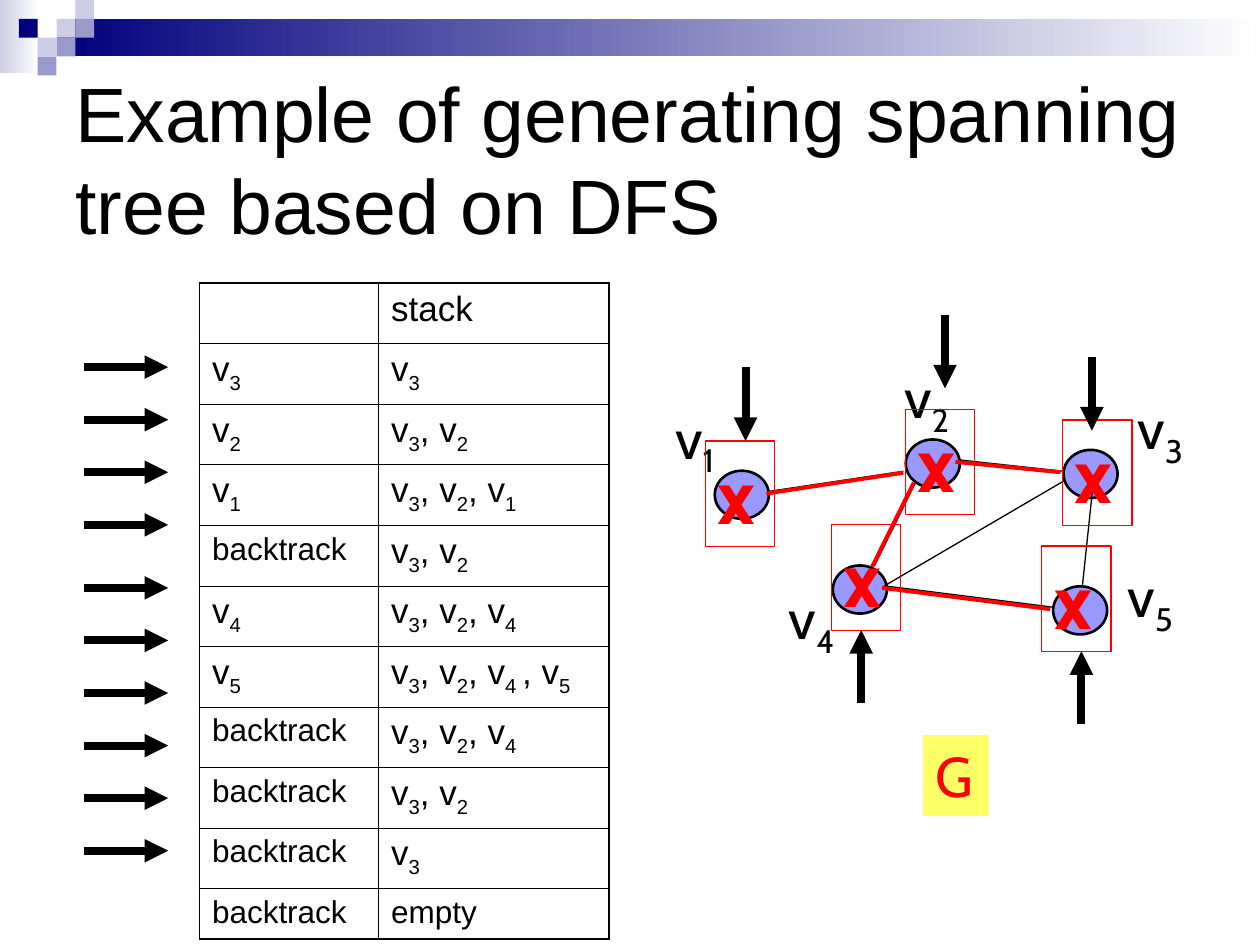
"""Build a slide that traces a depth-first search and the spanning tree it generates."""
from dataclasses import dataclass
from typing import Optional

from lxml.etree import SubElement
from pptx import Presentation
from pptx.dml.color import RGBColor
from pptx.enum.shapes import MSO_CONNECTOR, MSO_SHAPE
from pptx.enum.text import MSO_ANCHOR, MSO_AUTO_SIZE
from pptx.oxml import parse_xml
from pptx.oxml.ns import nsdecls, qn
from pptx.util import Cm, Pt


@dataclass(frozen=True)
class Theme:
    black: str = "000000"
    white: str = "FFFFFF"
    red: str = "FF0000"
    navy: str = "00007D"
    mid: str = "9999CC"
    light: str = "CCCCE6"
    node: str = "9999FF"
    highlight: str = "FFFF66"
    body_font: str = "Arial"
    graph_font: str = "Cabin"
    title_size: float = 44
    graph_size: float = 32
    state_size: float = 20
    action_size: float = 18
    outer_border: float = 1.08
    inner_border: float = 0.45


@dataclass(frozen=True)
class Box:
    left: float
    top: float
    width: float
    height: float

    def lengths(self) -> tuple:
        return Cm(self.left), Cm(self.top), Cm(self.width), Cm(self.height)


@dataclass(frozen=True)
class Line:
    start: tuple
    end: tuple


@dataclass(frozen=True)
class Node:
    name: str
    circle: tuple
    label: tuple
    mark: tuple
    arrow: Line


THEME = Theme()
SQUARE = 0.38
SQUARES = [(2, 1, THEME.light), (3, 0, THEME.light), (3, 1, THEME.mid), (1, 2, THEME.light),
           (0, 1, THEME.navy), (2, 2, THEME.mid), (1, 3, THEME.mid)]
NODES = [
    Node("v_1", (14.41, 9.49), (13.36, 8), (14.22, 8.89), Line((15.03, 7.4), (15.03, 8.89))),
    Node("v_2", (18.26, 8.86), (17.98, 7.19), (18.25, 8.25), Line((19.05, 6.35), (19.05, 7.83))),
    Node("v_3", (21.44, 9.07), (22.68, 7.8), (21.42, 8.47), Line((22.01, 7.2), (22.01, 8.68))),
    Node("v_4", (16.79, 11.4), (15.65, 11.63), (16.76, 10.58), Line((17.36, 14.18), (17.36, 12.7))),
    Node("v_5", (21.23, 11.82), (22.48, 11.19), (21, 11.01), Line((21.8, 14.6), (21.8, 13.13))),
]
GRAPH_EDGES = [
    Line((21.44, 9.5), (19.33, 9.27)), Line((21.23, 12.24), (17.83, 11.81)),
    Line((21.44, 9.7), (17.83, 11.81)), Line((18.47, 9.7), (17.63, 11.4)),
    Line((15.47, 9.91), (18.21, 9.5)), Line((21.82, 11.81), (22.02, 9.91)),
]
TREE_EDGES = [
    Line((21.38, 9.52), (19.26, 9.31)), Line((15.45, 9.95), (18.21, 9.53)),
    Line((18.42, 9.73), (17.58, 11.43)), Line((21.17, 12.28), (17.78, 11.85)),
]
STEP_PITCH = 1.06
STEP_TOPS = [first + STEP_PITCH * index for first, count in ((7.4, 4), (11.85, 6))
             for index in range(count)]
TRACE = [
    ("", "stack"), ("v_3", "v_3"), ("v_2", "v_3_, v_2"), ("v_1", "v_3_, v_2_, v_1"),
    ("backtrack", "v_3_, v_2"), ("v_4", "v_3_, v_2_, v_4"), ("v_5", "v_3_, v_2_, v_4 _, v_5"),
    ("backtrack", "v_3_, v_2_, v_4"), ("backtrack", "v_3_, v_2"), ("backtrack", "v_3"),
    ("backtrack", "empty"),
]


def color(value: str) -> RGBColor:
    return RGBColor.from_string(value)


def write_subscripted(paragraph, text: str, font: str, size: float, ink: str, bold=False) -> None:
    for index, piece in enumerate(text.split("_")):
        run = paragraph.add_run()
        run.text = piece
        run.font.name, run.font.size, run.font.bold = font, Pt(size), bold
        run.font.color.rgb = color(ink)
        if index % 2:
            run._r.get_or_add_rPr().set("baseline", "-25000")


def add_shape(slide, kind, box: Box, fill: str, outline: Optional[float] = None):
    shape = slide.shapes.add_shape(kind, *box.lengths())
    shape.shadow.inherit = False
    shape.fill.solid()
    shape.fill.fore_color.rgb = color(fill)
    if outline is None:
        shape.line.fill.background()
    else:
        shape.line.color.rgb = color(THEME.black)
        shape.line.width = Pt(outline)
    return shape


def add_fade(slide, box: Box, start: str) -> None:
    fill = add_shape(slide, MSO_SHAPE.RECTANGLE, box, start).fill
    fill.gradient()
    fill.gradient_angle = 0
    for stop, value in zip(fill.gradient_stops, (start, THEME.white)):
        stop.color.rgb = color(value)


def add_line(slide, line: Line, ink: str, width: float, arrow: bool = False) -> None:
    ends = [Cm(value) for value in (*line.start, *line.end)]
    connector = slide.shapes.add_connector(MSO_CONNECTOR.STRAIGHT, *ends)
    connector.line.color.rgb = color(ink)
    connector.line.width = Pt(width)
    if arrow:
        SubElement(connector.line._get_or_add_ln(), qn("a:tailEnd"), type="triangle")
    SubElement(connector._element.spPr, qn("a:effectLst"))


def add_label(slide, box: Box, text: str, size: float, ink: str, bold: bool = False):
    label = slide.shapes.add_textbox(*box.lengths())
    label.text_frame.word_wrap = False
    label.text_frame.auto_size = MSO_AUTO_SIZE.SHAPE_TO_FIT_TEXT
    write_subscripted(label.text_frame.paragraphs[0], text, THEME.graph_font, size, ink, bold)
    return label


def add_title(slide, box: Box, text: str) -> None:
    frame = slide.shapes.add_textbox(*box.lengths()).text_frame
    frame.word_wrap = True
    frame.vertical_anchor = MSO_ANCHOR.MIDDLE
    write_subscripted(frame.paragraphs[0], text, THEME.body_font, THEME.title_size, THEME.black)


def set_borders(cell, outer_sides: dict) -> None:
    properties = cell._tc.get_or_add_tcPr()
    for index, (side, is_outer) in enumerate(outer_sides.items()):
        width = Pt(THEME.outer_border if is_outer else THEME.inner_border)
        properties.insert(index, parse_xml(
            f'<a:ln{side} {nsdecls("a")} w="{width}"><a:solidFill>'
            f'<a:srgbClr val="{THEME.black}"/></a:solidFill></a:ln{side}>'))


def add_trace_table(slide, box: Box, widths: tuple, row_height: float, last_height: float) -> None:
    table = slide.shapes.add_table(len(TRACE), len(widths), *box.lengths()).table
    table.first_row = table.horz_banding = False
    for column, width in zip(table.columns, widths):
        column.width = Cm(width)
    last_row, last_column = len(TRACE) - 1, len(widths) - 1
    for row, texts in enumerate(TRACE):
        table.rows[row].height = Cm(last_height if row == last_row else row_height)
        for column, text in enumerate(texts):
            cell = table.cell(row, column)
            cell.fill.background()
            size = THEME.action_size if text in ("backtrack", "empty") else THEME.state_size
            write_subscripted(cell.text_frame.paragraphs[0], text, THEME.body_font, size, THEME.black)
            set_borders(cell, {"L": column == 0, "R": column == last_column,
                               "T": row == 0, "B": row == last_row})


def main() -> None:
    presentation = Presentation()
    presentation.slide_width, presentation.slide_height = Cm(25.4), Cm(19.05)
    slide = presentation.slides.add_slide(presentation.slide_layouts[6])

    add_fade(slide, Box(0, 0, 0.79, 1.47), THEME.light)
    add_fade(slide, Box(1.14, 0.38, 24.26, 0.76), THEME.navy)
    for column, row, fill in SQUARES:
        square = Box(SQUARE * (column + 1), SQUARE * row, SQUARE, SQUARE)
        add_shape(slide, MSO_SHAPE.RECTANGLE, square, fill)
    add_title(slide, Box(1.27, 1.27, 22.86, 3.81), "Example of generating spanning tree based on DFS")

    for node in NODES:
        add_shape(slide, MSO_SHAPE.OVAL, Box(*node.circle, 1.09, 0.97), THEME.node, 1.5)
    for edge in GRAPH_EDGES:
        add_line(slide, edge, THEME.black, 0.75)
    for node in NODES:
        add_label(slide, Box(*node.label, 1.45, 1.8), node.name, THEME.graph_size, THEME.black)
    graph_name = add_label(slide, Box(18.61, 14.82, 1.32, 1.63), "G", THEME.graph_size, THEME.red)
    graph_name.fill.solid()
    graph_name.fill.fore_color.rgb = color(THEME.highlight)

    add_trace_table(slide, Box(4.02, 5.71, 8.26, 13.22), (3.61, 4.65), 1.22, 1.02)

    for node in NODES:
        mark = add_label(slide, Box(*node.mark, 1.4, 2.13), "x", THEME.title_size, THEME.red, True)
        mark.line.color.rgb = color(THEME.red)
        mark.line.width = Pt(0.75)
        add_line(slide, node.arrow, THEME.black, 4.5, arrow=True)
    for edge in TREE_EDGES:
        add_line(slide, edge, THEME.red, 2.25)
    for top in STEP_TOPS:
        add_line(slide, Line((1.69, top), (3.39, top)), THEME.black, 4.5, arrow=True)
    presentation.save("out.pptx")


if __name__ == "__main__":
    main()
